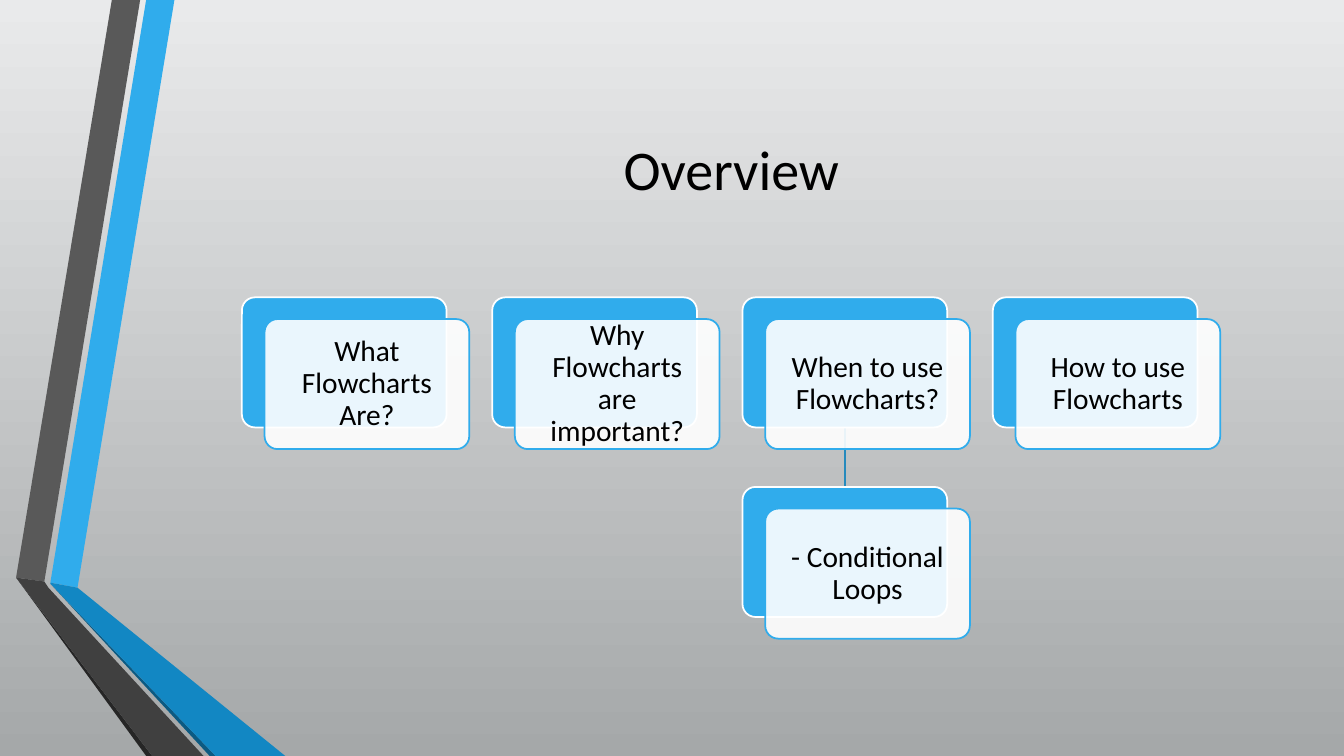
from lxml.etree import SubElement
from pptx import Presentation
from pptx.dml.color import RGBColor
from pptx.enum.shapes import MSO_CONNECTOR as Connector, MSO_SHAPE as Shape
from pptx.enum.text import MSO_ANCHOR as Anchor, PP_ALIGN as Align
from pptx.oxml.ns import qn
from pptx.util import Pt

COLORS = {
    "sky top": "E9EAEB", "sky bottom": "A5A8A9",
    "blue": "30ACEC", "mid blue": "1287C3", "deep blue": "0C5A82", "link": "268ABD",
    "gray": "595959", "dark gray": "404040", "charcoal": "262626",
    "white": "FFFFFF", "black": "000000",
}
FONT = "Calibri"
TITLE = "Overview"
CARDS = [  # text, column, row
    ("What Flowcharts Are?", 0, 0),
    ("Why Flowcharts are important?", 1, 0),
    ("When to use Flowcharts?", 2, 0),
    ("- Conditional Loops", 2, 1),
    ("How to use Flowcharts", 3, 0),
]
RIBBONS = [  # colour, corners
    ("blue", [(36, 416.2), (55.4, 419.8), (124.6, 0), (104.4, 0)]),
    ("gray", [(100.1, 0), (79.9, 0), (11.5, 412.6), (31.7, 415.4)]),
    ("charcoal", [(11.5, 412.6), (104.4, 540), (108.7, 540)]),
    ("deep blue", [(36, 416.9), (149.8, 540), (154.1, 540)]),
    ("mid blue", [(36, 416.2), (36, 416.9), (154.1, 540), (203.8, 540), (55.4, 419.8)]),
    ("dark gray", [(145.4, 540), (34.6, 419.8), (31.7, 415.4), (11.5, 412.6), (108.7, 540)]),
]

SLIDE_W, SLIDE_H = 960, 540
CARD_W, CARD_H = 146.2, 92.9
GRID_LEFT, GRID_TOP = 172.8, 212.4
COLUMN_STEP, ROW_STEP = 178.8, 135.4
PANEL_DX, PANEL_DY = 16.2, 15.5
PANEL_INSET = 9.4


def rgb(name):
    return RGBColor.from_string(COLORS[name])


def paint(shape, fill, line=None):
    shape.shadow.inherit = False
    shape.fill.solid()
    shape.fill.fore_color.rgb = rgb(fill)
    if line:
        shape.line.color.rgb = rgb(line)
        shape.line.width = Pt(1.25)
    else:
        shape.line.fill.background()


def write(shape, text, size, inset):
    frame = shape.text_frame
    frame.word_wrap = True
    frame.vertical_anchor = Anchor.MIDDLE
    frame.margin_left = frame.margin_right = Pt(inset)
    frame.margin_top = frame.margin_bottom = Pt(inset)
    para = frame.paragraphs[0]
    para.text = text
    para.alignment = Align.CENTER
    para.line_spacing = 0.9
    para.font.name = FONT
    para.font.size = Pt(size)
    para.font.color.rgb = rgb("black")


def add_ribbon(slide, color, corners):
    points = [(Pt(x), Pt(y)) for x, y in corners]
    builder = slide.shapes.build_freeform(*points[0])
    builder.add_line_segments(points[1:], close=True)
    paint(builder.convert_to_shape(), color)


def add_rounded(slide, left, top, fill, line):
    box = slide.shapes.add_shape(
        Shape.ROUNDED_RECTANGLE, Pt(left), Pt(top), Pt(CARD_W), Pt(CARD_H))
    box.adjustments[0] = 0.1
    paint(box, fill, line)
    return box


def card_corner(column, row):
    return GRID_LEFT + column * COLUMN_STEP, GRID_TOP + row * ROW_STEP


def add_card(slide, text, column, row):
    """Blue card with a 90 % opaque white panel, shifted down and right, holding the text."""
    left, top = card_corner(column, row)
    add_rounded(slide, left, top, "blue", "white")
    panel = add_rounded(slide, left + PANEL_DX, top + PANEL_DY, "white", "blue")
    color = panel.fill._xPr.find(qn("a:solidFill"))[0]
    SubElement(color, qn("a:alpha")).set("val", "90000")
    write(panel, text, 21, PANEL_INSET)


def add_link(slide, column):
    """Line from the first-row card of a column down to the card below it."""
    left, top = card_corner(column, 0)
    x = Pt(left + CARD_W / 2)
    link = slide.shapes.add_connector(
        Connector.STRAIGHT, x, Pt(top + CARD_H), x, Pt(top + ROW_STEP))
    link.line.color.rgb = rgb("link")
    link.line.width = Pt(1.25)
    SubElement(link._element.spPr, qn("a:effectLst"))


def main():
    deck = Presentation()
    deck.slide_width, deck.slide_height = Pt(SLIDE_W), Pt(SLIDE_H)
    page = deck.slides.add_slide(deck.slide_layouts[6])

    sky = page.background.fill
    sky.gradient()
    sky.gradient_angle = 270
    for stop, name, position in zip(sky.gradient_stops, ("sky top", "sky bottom"), (0, 1)):
        stop.color.rgb = rgb(name)
        stop.position = position

    for color, corners in RIBBONS:
        add_ribbon(page, color, corners)

    title = page.shapes.add_textbox(Pt(139), Pt(54), Pt(766.8), Pt(138.2))
    write(title, TITLE, 40, 3.6)

    add_link(page, 2)
    for text, column, row in CARDS:
        add_card(page, text, column, row)

    deck.save("out.pptx")


if __name__ == "__main__":
    main()
